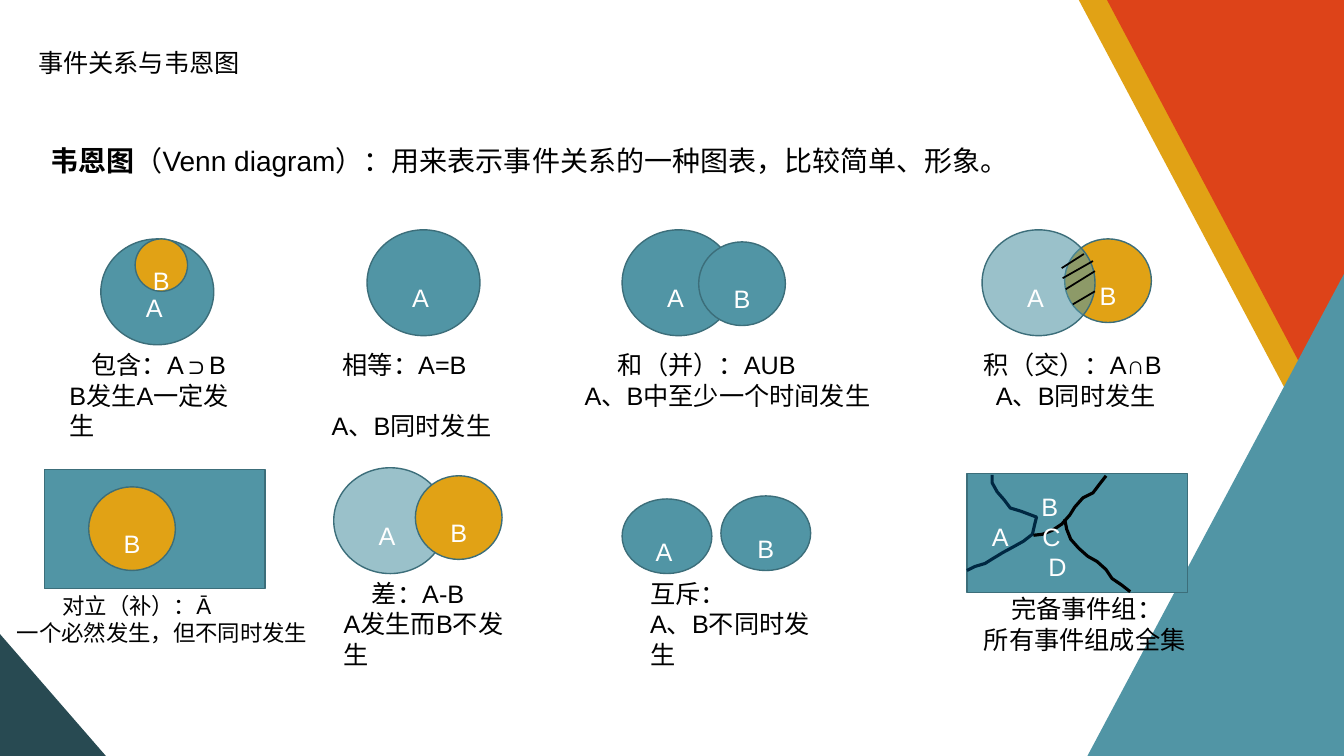
"""Build a slide that explains event relations with Venn diagrams."""
from lxml import etree
from pptx import Presentation
from pptx.dml.color import RGBColor
from pptx.enum.shapes import MSO_CONNECTOR, MSO_SHAPE
from pptx.enum.text import MSO_ANCHOR, MSO_AUTO_SIZE, PP_ALIGN
from pptx.oxml.ns import qn
from pptx.util import Inches, Pt

OVAL, RECTANGLE = MSO_SHAPE.OVAL, MSO_SHAPE.RECTANGLE
STRAIGHT = MSO_CONNECTOR.STRAIGHT
MIDDLE, CENTER = MSO_ANCHOR.MIDDLE, PP_ALIGN.CENTER
GROW = MSO_AUTO_SIZE.SHAPE_TO_FIT_TEXT

COLORS = {
    "teal": "5195A5", "outline": "3C6E7A", "gold": "E1A215", "red": "DD4319",
    "dark": "284A52", "navy": "002842", "black": "000000", "white": "FFFFFF",
}
LARGE, SMALL = (1.12, 1.05), (0.86, 0.83)
INNER, SEPARATE = (0.52, 0.52), (0.89, 0.74)
UNIVERSE = (2.19, 1.18)


class VennSlide:
    """Hold the style and the current slide."""

    def __init__(self, slide, font="Arial"):
        self.shapes = slide.shapes
        self.font = font

    def color(self, name):
        return RGBColor.from_string(COLORS[name])

    def style(self, font, size, color, bold=False):
        font.name, font.size, font.bold = self.font, Pt(size), bold
        font.color.rgb = self.color(color)

    def paint(self, shape, fill, outline=None, width=1):
        shape.shadow.inherit = False
        if fill:
            shape.fill.solid()
            shape.fill.fore_color.rgb = self.color(fill)
        else:
            shape.fill.background()
        if outline:
            shape.line.color.rgb = self.color(outline)
            shape.line.width = Pt(width)
        else:
            shape.line.fill.background()

    def outline(self, points, fill=None, stroke=None):
        points = [(Inches(x), Inches(y)) for x, y in points]
        builder = self.shapes.build_freeform(*points[0])
        builder.add_line_segments(points[1:], close=bool(fill))
        self.paint(builder.convert_to_shape(), fill, stroke, 2.25)

    def universe(self, x, y):
        box = self.shapes.add_shape(RECTANGLE, *map(Inches, (x, y, *UNIVERSE)))
        self.paint(box, "teal", "outline")

    def event(self, letter, x, y, size, fill="teal", alpha=None):
        circle = self.shapes.add_shape(OVAL, *map(Inches, (x, y, *size)))
        self.paint(circle, fill, "outline")
        if alpha:
            tint = circle.fill._xPr.find(qn("a:solidFill"))[0]
            etree.SubElement(tint, qn("a:alpha"), val=str(alpha * 1000))
        frame = circle.text_frame
        frame.text = letter
        frame.word_wrap = False
        frame.vertical_anchor = MIDDLE
        frame.margin_left = frame.margin_bottom = 0
        frame.margin_top = Inches(0.3)
        frame.margin_right = Inches(0.06 if letter == "A" else 0)
        label = frame.paragraphs[0]
        label.alignment = CENTER
        self.style(label.runs[0].font, 18, "white")

    def text(self, x, y, w, h, lines, size=18, color="black", indents=(), tab=None, gap=0):
        box = self.shapes.add_textbox(*map(Inches, (x, y, w, h)))
        frame = box.text_frame
        frame.text = "\n".join(lines)
        frame.word_wrap = True
        frame.auto_size = GROW
        for paragraph, indent in zip(frame.paragraphs, indents):
            paragraph._p.get_or_add_pPr().set("indent", str(Inches(indent)))
        if gap:
            frame.paragraphs[1].space_before = Pt(gap)
        for paragraph in frame.paragraphs:
            if tab and "\t" in paragraph.text:
                stops = etree.SubElement(paragraph._p.get_or_add_pPr(), qn("a:tabLst"))
                etree.SubElement(stops, qn("a:tab"), pos=str(Inches(tab)), algn="l")
            for run in paragraph.runs:
                self.style(run.font, size, color)
        return frame

    def hatch(self, start, end):
        line = self.shapes.add_connector(STRAIGHT, *map(Inches, (*start, *end)))
        line.line.color.rgb = self.color("black")
        line.line.width = Pt(1.25)
        etree.SubElement(line._element.spPr, qn("a:effectLst"))


def main():
    deck = Presentation()
    deck.slide_width, deck.slide_height = Inches(13.33), Inches(7.5)
    venn = VennSlide(deck.slides.add_slide(deck.slide_layouts[6]))

    venn.outline([(13.06, 4.45), (13.06, 0), (10.7, 0)], "gold")
    venn.outline([(13.34, 4.45), (13.34, 0), (10.98, 0)], "red")
    venn.outline([(13.34, 2.7), (13.34, 7.51), (10.78, 7.51)], "teal")
    venn.outline([(0, 6.29), (0, 7.51), (1.06, 7.51)], "dark")

    venn.text(0.28, 0.42, 6.67, 0.4, ["事件关系与韦恩图"])
    definition = venn.text(0.4, 1.37, 11.55, 0.74, ["韦恩图"], 20)
    definition.paragraphs[0].runs[0].font.bold = True
    meaning = definition.paragraphs[0].add_run()
    meaning.text = "（Venn diagram）：用来表示事件关系的一种图表，比较简单、形象。"
    venn.style(meaning.font, 20, "black")

    captions = [
        (0.59, 3.42, 2.03, 0.71, ["包含：A⊃B", "B发生A一定发生"], 18, (0.22, 0), 0),
        (3.14, 3.42, 1.84, 0.71, ["相等：A=B", "A、B同时发生"], 18, (0.16, 0.05), 22),
        (5.65, 3.42, 3.09, 0.71, ["和（并）：AUB", "A、B中至少一个时间发生"], 18, (0.38, 0.05), 0),
        (9.66, 3.42, 1.96, 0.71, ["积（交）：A∩B", "A、B同时发生"], 18, (0, 0.12), 0),
        (0.07, 5.83, 3.09, 0.64, ["对立（补）：Ā", "一个必然发生，但不同时发生"], 16, (0.45, 0), 0),
        (3.31, 5.69, 2.03, 0.71, ["差：A-B", "A发生而B不发生"], 18, (0.28, 0), 0),
        (6.35, 5.69, 2.03, 1.01, ["互斥：", "A、B不同时发生"], 18, (0, 0), 0),
        (9.66, 5.84, 2.2, 1.01, ["完备事件组：", "所有事件组成全集"], 18, (0.27, 0), 0),
    ]
    for x, y, w, h, lines, size, indents, gap in captions:
        venn.text(x, y, w, h, lines, size, indents=indents, gap=gap)

    venn.universe(0.44, 4.66)
    venn.universe(9.59, 4.7)
    events = [
        ("A", 1, 2.37, LARGE), ("B", 1.34, 2.37, INNER, "gold"),
        ("A", 3.64, 2.28, LARGE),
        ("A", 6.17, 2.28, LARGE), ("B", 6.93, 2.4, SMALL),
        ("B", 10.56, 2.37, SMALL, "gold"), ("A", 9.74, 2.28, LARGE, "teal", 58),
        ("B", 0.88, 4.83, SMALL, "gold"),
        ("A", 3.31, 4.64, LARGE, "teal", 58), ("B", 4.12, 4.72, SMALL, "gold"),
        ("A", 6.17, 4.95, SEPARATE), ("B", 7.15, 4.92, SEPARATE),
    ]
    for event in events:
        venn.event(*event)

    hatches = [
        ((10.84, 2.59), (10.54, 2.76)), ((10.86, 2.69), (10.57, 2.87)),
        ((10.86, 2.89), (10.64, 3.02)), ((10.75, 2.52), (10.53, 2.66)),
    ]
    for start, end in hatches:
        venn.hatch(start, end)

    borders = [
        ("navy", [(9.84, 4.71), (9.84, 4.79), (9.89, 4.88), (9.96, 4.96), (10.02, 5.04),
                  (10.12, 5.07), (10.2, 5.1), (10.28, 5.13), (10.26, 5.21), (10.24, 5.3),
                  (10.15, 5.37), (10.06, 5.42), (9.95, 5.48), (9.85, 5.54), (9.77, 5.59),
                  (9.67, 5.62), (9.59, 5.66)]),
        ("black", [(10.25, 5.31), (10.34, 5.3), (10.44, 5.26), (10.53, 5.2), (10.61, 5.11),
                   (10.66, 5.03), (10.74, 4.94), (10.84, 4.89), (10.9, 4.81), (10.97, 4.72)]),
        ("black", [(10.56, 5.15), (10.58, 5.25), (10.62, 5.35), (10.7, 5.44), (10.79, 5.52),
                   (10.88, 5.57), (10.97, 5.65), (11.03, 5.74), (11.12, 5.8), (11.21, 5.87)]),
    ]
    for stroke, points in borders:
        venn.outline(points, stroke=stroke)
    venn.text(9.74, 4.82, 1.61, 1.01, ["B", "A\tC", "D"], color="white",
              indents=(0.49, 0, 0.56), tab=1.19)

    deck.save("out.pptx")


if __name__ == "__main__":
    main()
